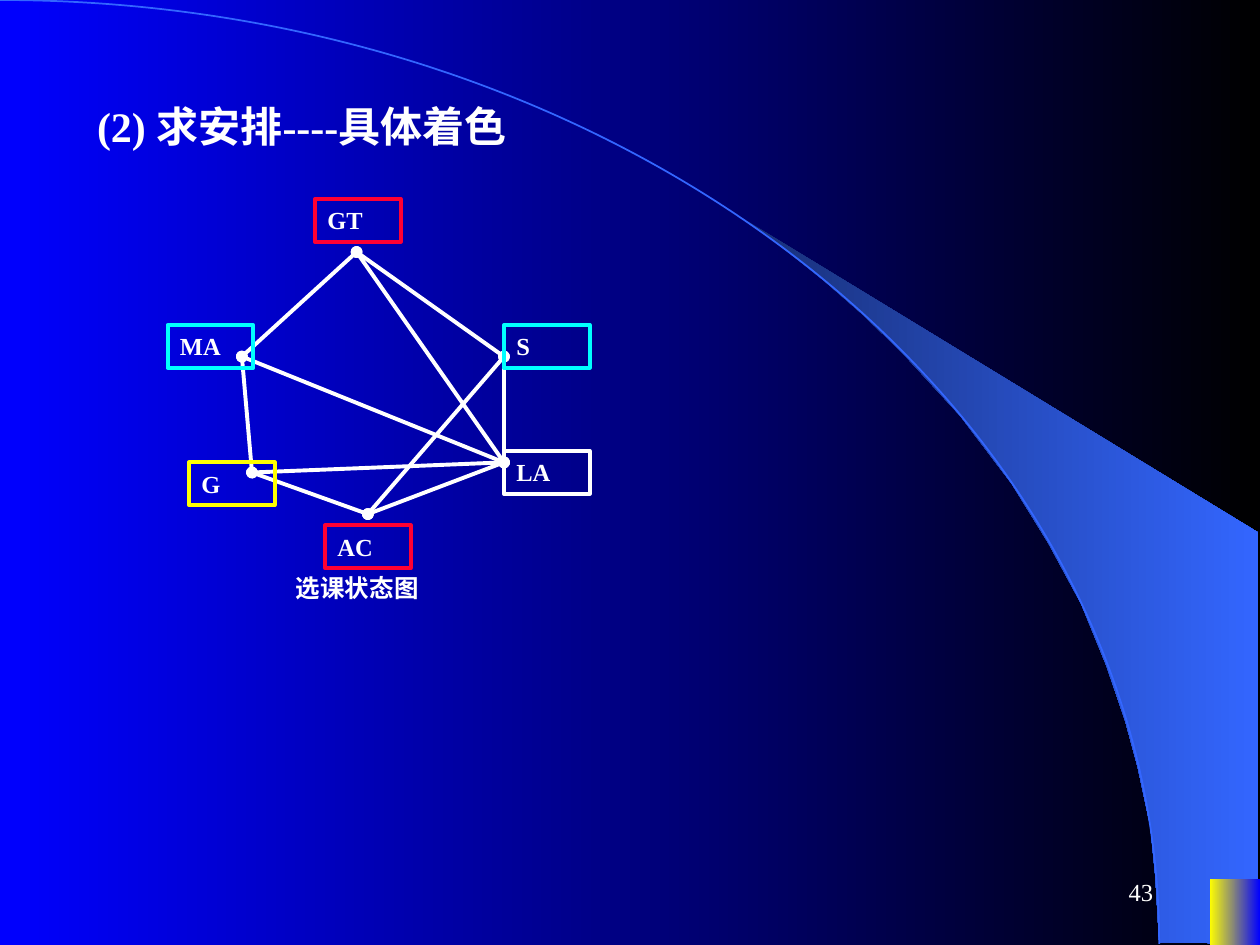
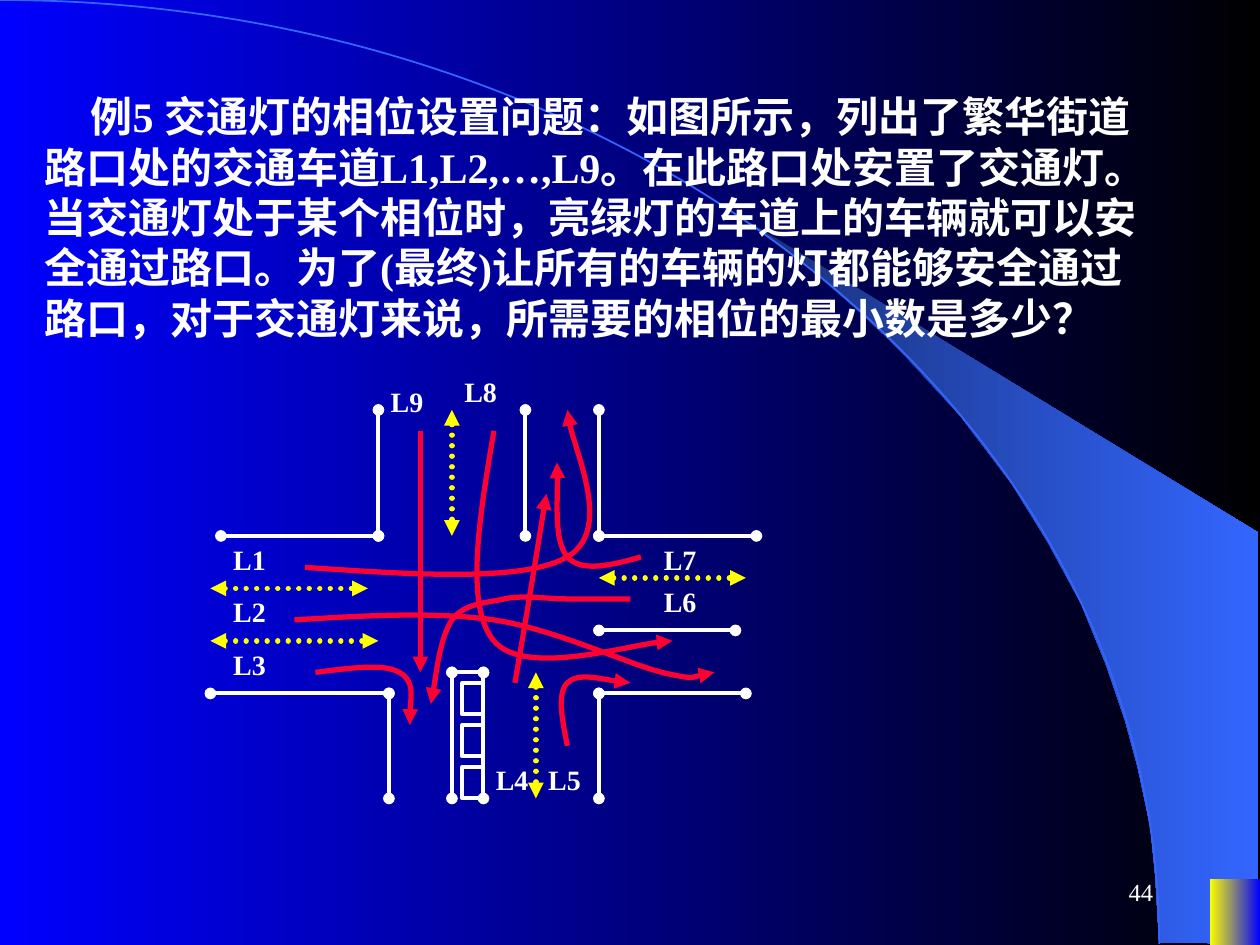
from lxml import etree
from pptx import Presentation
from pptx import util as u
from pptx.dml.color import RGBColor
from pptx.enum import dml, shapes, text
from pptx.oxml.ns import qn

FONT = "Times New Roman"
WHITE, RED, CYAN, YELLOW = "FFFFFF", "FF0033", "00FFFF", "FFFF00"
BLUE, BLACK, NAVY, SKY = "0000FF", "000000", "182F76", "3366FF"
CELL = 1 / 12  # grid of the crossing, in inches


# Formatting helpers
def colour(hex_text):
    return RGBColor.from_string(hex_text)


def set_gradient(fill, first, last):
    fill.gradient()
    fill.gradient_angle = 0
    for stop, position, shade in zip(fill.gradient_stops, (0, 1), (first, last)):
        stop.position = position
        stop.color.rgb = colour(shade)


def set_line(shape, shade, width, head=None, tail=None, dotted=False):
    shape.line.color.rgb = colour(shade)
    shape.line.width = u.Pt(width)
    outline = shape.element.spPr.get_or_add_ln()
    if dotted:
        shape.line.dash_style = dml.MSO_LINE.ROUND_DOT
        outline.set("cap", "rnd")
    for tag, kind in (("a:headEnd", head), ("a:tailEnd", tail)):
        if kind:
            etree.SubElement(outline, qn(tag), type=kind)


def set_text(shape, words, size, bold=True, align=text.PP_ALIGN.LEFT,
             anchor=text.MSO_ANCHOR.TOP):
    frame = shape.text_frame
    frame.text = words
    frame.word_wrap = True
    frame.vertical_anchor = anchor
    para = frame.paragraphs[0]
    para.alignment = align
    font = para.runs[0].font
    font.name, font.size, font.bold = FONT, u.Pt(size), bold
    font.color.rgb = colour(WHITE)
    return para


# Drawing helpers, all lengths in inches
def add_label(parts, words, left, top, width, height, size, **style):
    box = parts.add_textbox(*map(u.Inches, (left, top, width, height)))
    set_text(box, words, size, **style)


def add_frame(parts, left, top, width, height, shade):
    frame = parts.add_shape(shapes.MSO_SHAPE.RECTANGLE,
                            *map(u.Inches, (left, top, width, height)))
    frame.shadow.inherit = False
    frame.fill.background()
    set_line(frame, shade, 2.25)
    return frame


def add_link(parts, start, end, shade, width, **style):
    link = parts.add_connector(shapes.MSO_CONNECTOR.STRAIGHT,
                               *map(u.Inches, (*start, *end)))
    set_line(link, shade, width, **style)
    etree.SubElement(link.element.spPr, qn("a:effectLst"))


def add_outline(parts, points):
    points = [(u.Inches(x), u.Inches(y)) for x, y in points]
    builder = parts.build_freeform(*points[0])
    builder.add_line_segments(points[1:], close=False)
    outline = builder.convert_to_shape()
    outline.shadow.inherit = False
    return outline


def add_curve(parts, points, shade, width, tail=None):
    """Cubic curve: a start, then two handles and an end for each piece."""
    curve = add_outline(parts, points)
    route = curve.element.find(".//" + qn("a:path"))
    steps = route.findall(qn("a:lnTo"))
    for i in range(0, len(steps), 3):
        piece = etree.SubElement(route, qn("a:cubicBezTo"))
        for step in steps[i:i + 3]:
            piece.append(step[0])
            route.remove(step)
    curve.fill.background()
    set_line(curve, shade, width, tail=tail)


# Shared background, kept on the layout
def decorate_layout(layout, page):
    set_gradient(layout.background.fill, BLUE, BLACK)
    wedge = add_outline(page.shapes, [
        (9.2, 7.48), (9.99, 7.49), (9.99, 4.23), (5.89, 1.73), (6.24, 1.99),
        (6.53, 2.22), (6.85, 2.5), (7.16, 2.8), (7.62, 3.3), (8.03, 3.84),
        (8.32, 4.31), (8.58, 4.79), (8.78, 5.28), (8.93, 5.72), (9.03, 6.09),
        (9.13, 6.56), (9.17, 6.96), (9.2, 7.48)])
    set_gradient(wedge.fill, NAVY, SKY)
    wedge.line.fill.background()
    add_curve(page.shapes, [(0, 0), (5.08, 0), (9.2, 3.35), (9.2, 7.49)], SKY, 1)
    corner = add_frame(page.shapes, 9.6, 6.98, 0.4, 0.52, YELLOW)
    set_gradient(corner.fill, YELLOW, BLUE)
    corner.line.fill.background()

    art = [shape for shape in page.shapes if not shape.is_placeholder]
    for i, shape in enumerate(art):
        shape.element.nvSpPr.cNvPr.set("id", str(20 + i))
        layout.shapes.element.insert(2 + i, shape.element)


# Heading and page number
def add_heading(page, words, box, indent):
    title = page.shapes.title
    title.left, title.top, title.width, title.height = map(u.Inches, box)
    para = set_text(title, words, 24)
    title.text_frame.auto_size = text.MSO_AUTO_SIZE.SHAPE_TO_FIT_TEXT
    para.space_before = u.Pt(15)
    para._p.get_or_add_pPr().set("indent", str(u.Inches(indent)))


def add_page_number(page, number):
    add_label(page.shapes, str(number), 7.17, 6.83, 2.08, 0.5, 14, bold=False,
              align=text.PP_ALIGN.RIGHT, anchor=text.MSO_ANCHOR.MIDDLE)


# Coloured course graph
def draw_course_graph(page, left, top):
    parts = page.shapes.add_group_shape().shapes
    # course: vertex, label corner, colour
    courses = {
        "GT": ((1.5, 0.42), (1.17, 0), RED),
        "MA": ((0.59, 1.25), (0, 1), CYAN),
        "G": ((0.67, 2.17), (0.17, 2.09), YELLOW),
        "AC": ((1.59, 2.5), (1.25, 2.59), RED),
        "LA": ((2.67, 2.09), (2.67, 2), WHITE),
        "S": ((2.67, 1.25), (2.67, 1), CYAN),
    }
    conflicts = ("GT-MA GT-S MA-G S-LA G-AC LA-AC GT-LA MA-LA G-LA S-AC").split()
    for conflict in conflicts:
        start, end = [(left + courses[name][0][0], top + courses[name][0][1])
                      for name in conflict.split("-")]
        add_link(parts, start, end, WHITE, 2.25, head="oval", tail="oval")
    for name, (_, (x, y), shade) in courses.items():
        frame = add_frame(parts, left + x, top + y, 0.68, 0.34, shade)
        set_text(frame, name, 14)
    add_label(parts, "选课状态图", left + 0.92, top + 2.92, 1.58, 0.34, 14)


# Road crossing, measured in grid cells
KERBS = [
    (16, 4, 16, 16), (1, 16, 16, 16), (0, 31, 17, 31), (17, 31, 17, 41),
    (30, 4, 30, 16), (37, 4, 37, 16), (37, 16, 52, 16), (37, 25, 50, 25),
    (37, 31, 51, 31), (37, 31, 37, 41), (23, 29, 23, 41), (23, 29, 26, 29),
    (26, 29, 26, 41),
]
DIVIDERS = [(0, 21, 15, 21), (0, 26, 16, 26), (23, 4, 23, 16),
            (37, 20, 51, 20), (31, 29, 31, 41)]
LANE_LABELS = {
    "L1": (1, 16), "L2": (1, 21), "L3": (1, 26), "L4": (26, 37), "L5": (31, 37),
    "L6": (42, 20), "L7": (42, 16), "L8": (23, 0), "L9": (16, 1),
}
TURNS = {
    "L1": [(9, 19), (19.4, 19.7), (29.8, 20.4), (34, 18),
           (38.2, 15.5), (34, 6.3), (34, 4)],
    "L2": [(8, 24), (14.6, 23.6), (21.2, 23.2), (27, 24), (32.8, 24.9),
           (39.5, 28.1), (43, 29), (46.5, 29.8), (47.2, 29), (48, 29)],
    "L3": [(10, 29), (13.2, 28.6), (16.5, 28.1), (18, 29),
           (19.5, 29.8), (18.9, 33.2), (19, 34)],
    "L4": [(29, 30), (30.3, 22.5), (31.5, 15), (32, 12)],
    "L5": [(34, 36), (33.5, 33.5), (33, 31), (34, 30), (35, 29), (39, 30), (40, 30)],
    "L6": [(40, 22), (38, 22), (36, 22), (34, 22), (32, 22), (29.8, 21.6), (28, 22),
           (26.2, 22.4), (24.2, 22.4), (23, 24), (21.9, 25.7), (21.3, 30.6), (21, 32)],
    "L7": [(41, 18), (38.2, 18.8), (35.3, 19.5), (34, 18),
           (32.7, 16.5), (33.2, 10.5), (33, 9)],
    "L8": [(27, 6), (25.6, 14.3), (24.2, 22.7), (27, 26),
           (29.8, 29.3), (41.2, 26), (44, 26)],
}


def draw_crossing(page, left, top):
    parts = page.shapes.add_group_shape().shapes

    def at(x, y):
        return left + x * CELL, top + y * CELL

    for x1, y1, x2, y2 in KERBS:
        add_link(parts, at(x1, y1), at(x2, y2), WHITE, 2.25, head="oval", tail="oval")
    for x1, y1, x2, y2 in DIVIDERS:
        add_link(parts, at(x1, y1), at(x2, y2), YELLOW, 3,
                 head="triangle", tail="triangle", dotted=True)
    # island blocks
    for i in range(3):
        add_frame(parts, *at(24, 30 + 4 * i), 2 * CELL, 3 * CELL, WHITE)
    for lane, corner in LANE_LABELS.items():
        add_label(parts, lane, *at(*corner), 0.6, 0.37, 16)
    # traffic flows; lane L9 runs straight
    add_link(parts, at(20, 6), at(20, 29), RED, 3, tail="triangle")
    for points in TURNS.values():
        add_curve(parts, [at(*point) for point in points], RED, 3, tail="triangle")


def main():
    deck = Presentation()
    deck.slide_width, deck.slide_height = u.Inches(10), u.Inches(7.5)
    layout = deck.slide_layouts.get_by_name("Title Only")

    colouring = deck.slides.add_slide(layout)
    decorate_layout(layout, colouring)
    add_page_number(colouring, 43)
    add_heading(colouring, "(2) 求安排----具体着色", (0.25, 0.75, 8.5, 0.5), 0.42)
    draw_course_graph(colouring, 1.33, 1.58)

    lights = deck.slides.add_slide(layout)
    add_page_number(lights, 44)
    add_heading(
        lights,
        "例5 交通灯的相位设置问题：如图所示，列出了繁华街道路口处的交通车道"
        "L1,L2,…,L9。在此路口处安置了交通灯。当交通灯处于某个相位时，"
        "亮绿灯的车道上的车辆就可以安全通过路口。为了(最终)让所有的车辆的灯"
        "都能够安全通过路口，对于交通灯来说，所需要的相位的最小数是多少？",
        (0.25, 0.67, 8.92, 2.5), 0.37)
    draw_crossing(lights, 1.67, 2.92)

    deck.save("out.pptx")


if __name__ == "__main__":
    main()
